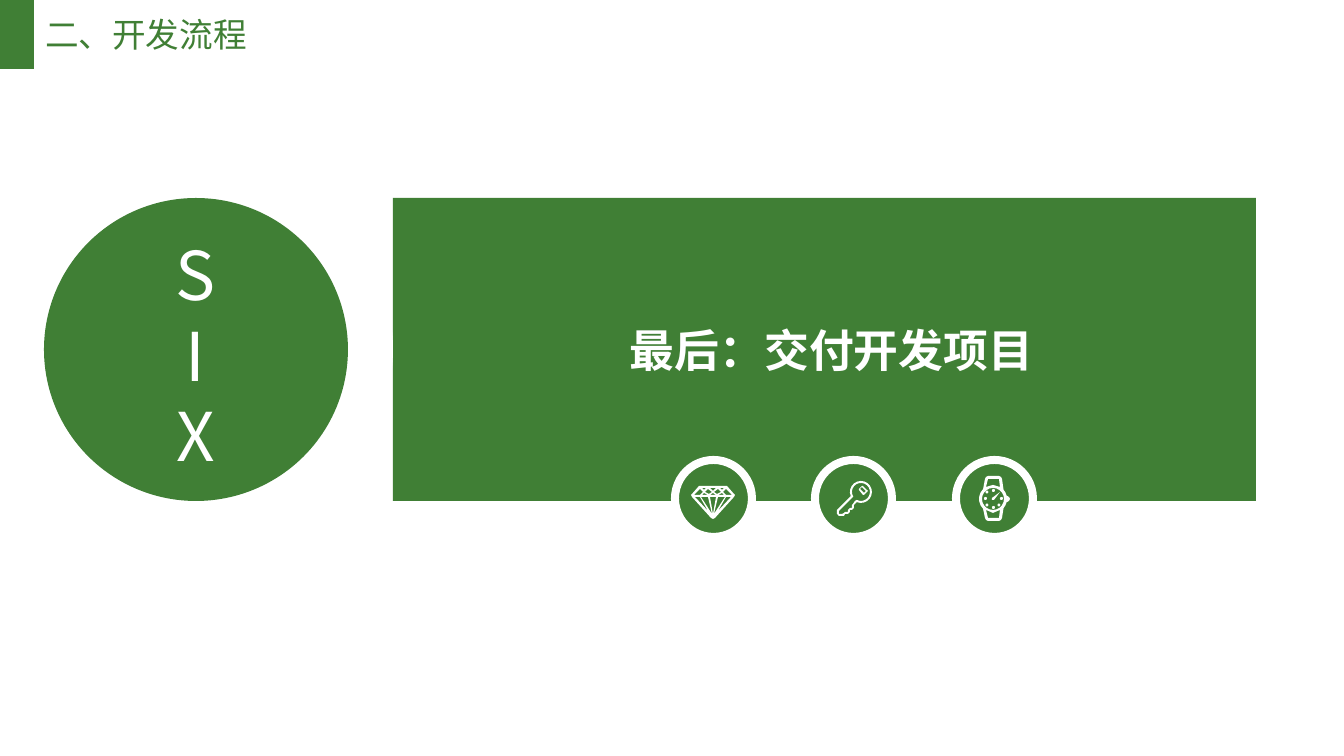
"""Build the slide on the last step of the development process: delivery."""
import math
from dataclasses import dataclass

from pptx import Presentation, util as u
from pptx.dml import color
from pptx.enum import shapes, text
from pptx.oxml import xmlchemy

PX = u.Inches(1) / 100.8
GREEN, WHITE = "407F35", "FFFFFF"
FONT = "Noto Sans CJK SC"
OVAL, RECT = shapes.MSO_SHAPE.OVAL, shapes.MSO_SHAPE.RECTANGLE
Contour = list[tuple[float, float]]


@dataclass(frozen=True)
class Block:
    """A filled preset shape, measured in pixels."""
    preset: shapes.MSO_SHAPE
    left: int
    top: int
    width: int
    height: int
    fill: str = GREEN
    border: int = 0


@dataclass(frozen=True)
class Glyph:
    """A white outline, its first contour, with the holes cut into it."""
    left: int
    top: int
    contours: list[Contour]


def px(length: float) -> u.Emu:
    """Convert pixels to EMU."""
    return u.Emu(round(length * PX))


def paint(fill, hex_color: str) -> None:
    """Make a fill solid in the given colour."""
    fill.solid()
    fill.fore_color.rgb = color.RGBColor.from_string(hex_color)


def arc(x: int, y: int, diameter: int, start: int = 0, end: int = 360) -> Contour:
    """Sample a circular arc around a centre, clockwise, in degrees."""
    steps = max(2, min(diameter * 2, (end - start) // 18))
    angles = [math.radians(start + (end - start) * i / steps) for i in range(steps + 1)]
    return [(x + diameter / 2 * math.cos(a), y + diameter / 2 * math.sin(a)) for a in angles]


def draw_block(slide, block: Block):
    """Draw one preset shape."""
    shape = slide.shapes.add_shape(
        block.preset, px(block.left), px(block.top), px(block.width), px(block.height))
    shape.shadow.inherit = False
    paint(shape.fill, block.fill)
    if block.border:
        paint(shape.line.fill, WHITE)
        shape.line.width = px(block.border)
    else:
        shape.line.fill.background()
    return shape


def draw_glyph(slide, glyph: Glyph) -> None:
    """Draw one glyph as a single freeform."""
    placed = [[(px(glyph.left + x), px(glyph.top + y)) for x, y in c] for c in glyph.contours]
    builder = slide.shapes.build_freeform(*placed[0][0], scale=1.0)
    for index, contour in enumerate(placed):
        if index:
            builder.move_to(*contour[0])
        builder.add_line_segments(contour[1:], close=True)
    outline = builder.convert_to_shape()
    outline.shadow.inherit = False
    paint(outline.fill, WHITE)
    outline.line.fill.background()


def write(shape, words: str, size: int, hex_color: str, bold: bool = False,
          align=text.PP_ALIGN.LEFT, anchor=text.MSO_ANCHOR.TOP, wrap: bool = True) -> None:
    """Set a shape's text and format its run."""
    frame = shape.text_frame
    frame.text = words
    frame.auto_size = text.MSO_AUTO_SIZE.NONE
    frame.word_wrap = wrap
    frame.vertical_anchor = anchor
    frame.paragraphs[0].alignment = align
    font = frame.paragraphs[0].runs[0].font
    font.size, font.bold, font.name = u.Pt(size), bold, FONT
    paint(font.fill, hex_color)
    east_asian = xmlchemy.OxmlElement("a:ea")
    east_asian.set("typeface", FONT)
    font._element.find(xmlchemy.qn("a:latin")).addnext(east_asian)


def diamond(left: int, top: int) -> list[Glyph]:
    """Return the cut gem: its outline, middle facets and mirrored side facets."""
    outline = [(8, 0), (36, 0), (43, 8), (44, 9), (43, 11), (24, 32), (22, 33),
               (20, 32), (1, 11), (0, 9), (1, 8)]
    middle = [[(25, 9), (19, 9), (22, 7)], [(25, 11), (22, 28), (19, 11)],
              [(22, 5), (19, 2), (25, 2)]]
    west = [[(18, 8), (14, 6), (17, 3), (21, 6)], [(13, 4), (11, 2), (15, 2)],
            [(13, 7), (17, 9), (11, 9)], [(17, 11), (21, 28), (10, 11)],
            [(17, 25), (4, 11), (9, 11)], [(9, 3), (12, 6), (9, 9), (3, 9)]]
    east = [[(44 - x, y) for x, y in facet] for facet in west]
    return [Glyph(left, top, [outline, *middle, *west, *east])]


def key(left: int, top: int) -> list[Glyph]:
    """Return the key and the slot in its bow."""
    outer = arc(24, 11, 22, 158, 472) + [
        (17, 24), (17, 27), (15, 29), (13, 29), (13, 31), (11, 33), (8, 33),
        (7, 35), (5, 35), (2, 35), (0, 33), (0, 29)]
    inner = arc(24, 11, 18, 148, 477) + [
        (18, 20), (16, 23), (15, 24), (15, 27), (13, 27), (11, 29), (11, 31),
        (8, 31), (7, 32), (5, 33), (2, 33), (2, 30), (15, 17)]
    slot = [(30, 9), (26, 5), (25, 5), (22, 8), (22, 9), (26, 14), (27, 14), (31, 10)]
    opening = [(27, 12), (23, 8), (25, 6), (29, 10)]
    return [Glyph(left, top, [outer, inner]), Glyph(left, top, [slot, opening])]


def watch(left: int, top: int) -> list[Glyph]:
    """Return the wrist watch: case with straps, diagonal hour marks and hand."""
    case = ([(6, 3), (7, 1), (9, 0), (20, 0), (22, 1), (23, 3)]
            + arc(14, 23, 28, -41, -14) + [(30, 21), (31, 23), (30, 25)]
            + arc(14, 23, 28, 14, 41)
            + [(23, 42), (22, 44), (20, 45), (9, 45), (7, 44), (6, 42)]
            + arc(14, 23, 28, 135, 225))
    straps = [[(9, 3), (20, 3), (21, 11), (14, 9), (7, 11)],
              [(20, 42), (9, 42), (7, 34), (14, 37), (21, 34)]]
    marks = [arc(x, y, 3) for x, y in ((8, 29), (8, 16), (20, 29))]
    hand = [(21, 16), (13, 22), (13, 24), (15, 24), (18, 20)]
    parts = [*([mark] for mark in marks), [case, *straps, arc(14, 23, 22)], [hand]]
    return [Glyph(left, top, part) for part in parts]


BADGES = [Block(OVAL, 675 + 281 * i // 2, 460, 77, 77, border=8) for i in range(3)]
QUARTER_MARKS = [Block(OVAL, x, y, 3, 3, WHITE)
                 for x, y in ((992, 489), (992, 506), (984, 497), (1000, 497))]
GLYPHS = [*diamond(691, 486), *key(837, 481), *watch(979, 476)]
STEP_DISC = [Block(OVAL, -1, 152, 394, 394, WHITE), Block(OVAL, 44, 198, 304, 303)]


def main() -> None:
    """Assemble and save the slide."""
    deck = Presentation()
    deck.slide_width, deck.slide_height = px(1344), px(756)
    slide = deck.slides.add_slide(deck.slide_layouts[5])

    title = slide.shapes.title
    title.left, title.top, title.width, title.height = px(35), px(9), px(222), px(50)
    write(title, "二、开发流程", 24, GREEN, wrap=False)

    for block in [Block(RECT, 393, 198, 863, 303), *BADGES, *QUARTER_MARKS]:
        draw_block(slide, block)
    for glyph in GLYPHS:
        draw_glyph(slide, glyph)
    for disc in STEP_DISC:
        draw_block(slide, disc)

    headline = slide.shapes.add_textbox(px(620), px(318), px(430), px(65))
    write(headline, "最后：交付开发项目", 32, WHITE, bold=True)
    draw_block(slide, Block(RECT, -1, 0, 35, 69))
    step = draw_block(slide, Block(OVAL, 147, 306, 97, 97))
    write(step, "SIX", 48, WHITE, align=text.PP_ALIGN.CENTER, anchor=text.MSO_ANCHOR.MIDDLE)

    deck.save("out.pptx")


main()
